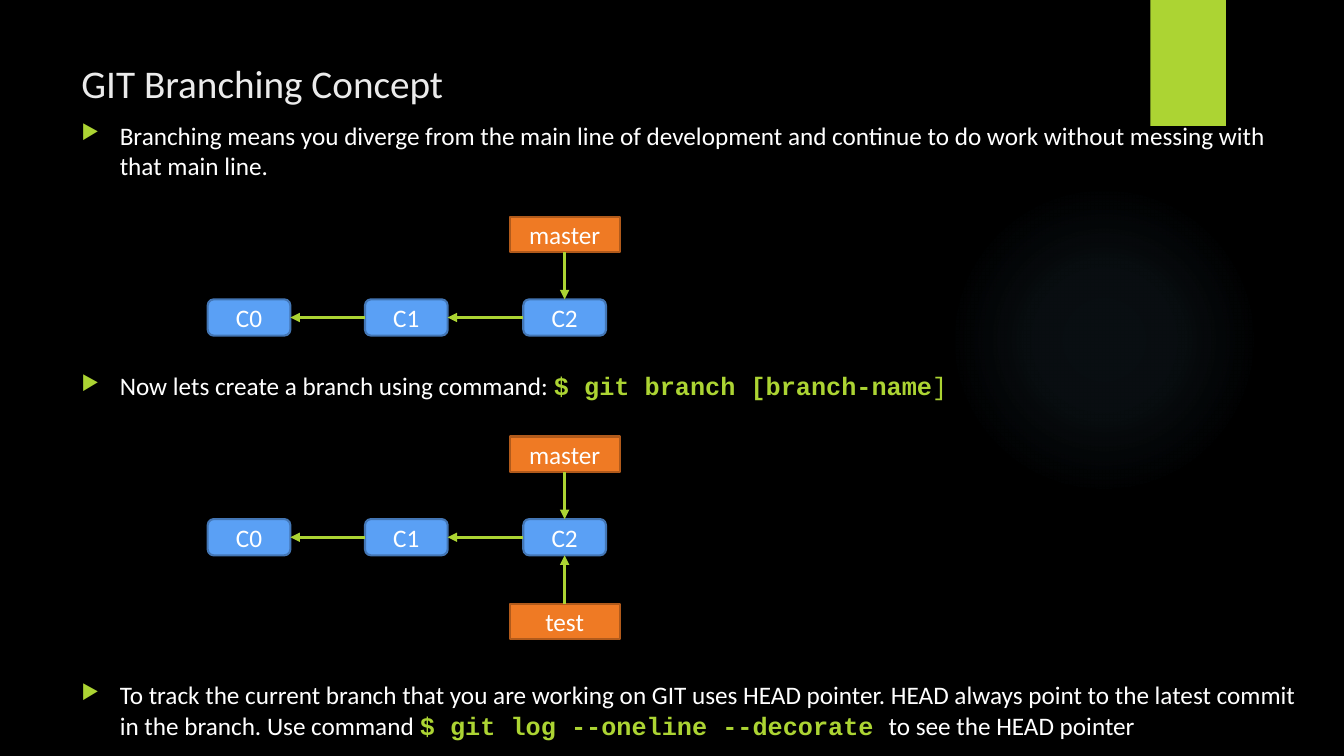
import lxml.etree
import pptx
import pptx.dml.color
import pptx.enum.shapes
import pptx.enum.text
import pptx.oxml
import pptx.oxml.ns
import pptx.util

COLORS = {
    "background": "000000", "accent": "ACD433", "glow": "7AC4F0",
    "title": "EBEBEB", "text": "FFFFFF",
    "commit": "5AA0F5", "commit_line": "4376B5",
    "branch": "EF7A24", "branch_line": "B15A1B",
}
TITLE = "GIT Branching Concept"
BULLETS = [
    (0, [("Branching means you diverge from the main line of development and continue "
          "to do work without messing with that main line.", "plain")]),
    (136, [("Now lets create a branch using command: ", "plain"),
           ("$ git branch [branch-name", "command"), ("]", "bracket")]),
    (199, [("To track the current branch that you are working on GIT uses HEAD pointer. "
            "HEAD always point to the latest commit in the branch. Use command ", "plain"),
           ("$ git log --oneline --decorate ", "command"),
           ("to see the HEAD pointer", "plain")]),
]
STYLES = {
    "plain": ("Calibri", "text", False),
    "command": ("Courier New", "accent", True),
    "bracket": ("Courier New", "accent", False),
}
COMMITS = [("C0", 2.06), ("C1", 3.62), ("C2", 5.19)]
COMMIT_SIZE = (0.82, 0.36)
BRANCH_SIZE = (1.09, 0.35)
MASTER_RISE, TEST_DROP = 0.82, 0.84
DIAGRAMS = [(2.97, False), (5.15, True)]
GLOW_STOPS = [(0, 7), (36, 6), (69, 0)]

Inches = pptx.util.Inches
SHAPES = pptx.enum.shapes.MSO_SHAPE
MIDDLE = pptx.enum.text.MSO_ANCHOR.MIDDLE
TOP, LEFT, BOTTOM, RIGHT = range(4)


def rgb(name):
    return pptx.dml.color.RGBColor.from_string(COLORS[name])


def add_xml(parent, xml):
    namespace = pptx.oxml.ns.nsdecls("a")
    head, mark, rest = xml.partition(">")
    if head.endswith("/"):
        head, mark = head[:-1], "/>"
    parent.append(pptx.oxml.parse_xml(f"{head} {namespace}{mark}{rest}"))


def format_span(span, size, color, font="Calibri", bold=False):
    span.font.name = font
    span.font.size = pptx.util.Pt(size)
    span.font.bold = bold
    span.font.color.rgb = rgb(color)


def add_box(page, kind, left, top, width, height, fill, line=None, text=None):
    box = page.shapes.add_shape(kind, Inches(left), Inches(top), Inches(width), Inches(height))
    box.shadow.inherit = False
    box.fill.solid()
    box.fill.fore_color.rgb = rgb(fill)
    if line:
        box.line.color.rgb = rgb(line)
        box.line.width = pptx.util.Pt(1.5)
    else:
        box.line.fill.background()
    if text:
        frame = box.text_frame
        frame.text = text
        frame.vertical_anchor = MIDDLE
        frame.paragraphs[0].alignment = pptx.enum.text.PP_ALIGN.CENTER
        format_span(frame.paragraphs[0].runs[0], 18, "text")
    return box


def add_arrow(page, start, start_side, end, end_side):
    arrow = page.shapes.add_connector(pptx.enum.shapes.MSO_CONNECTOR.STRAIGHT, 0, 0, 0, 0)
    arrow.begin_connect(start, start_side)
    arrow.end_connect(end, end_side)
    arrow.line.color.rgb = rgb("accent")
    arrow.line.width = pptx.util.Pt(2.25)
    add_xml(arrow.line._get_or_add_ln(), '<a:tailEnd type="triangle"/>')
    add_xml(arrow._element.spPr, "<a:effectLst/>")


def add_text_frame(page, left, top, width, height):
    box = page.shapes.add_textbox(Inches(left), Inches(top), Inches(width), Inches(height))
    box.text_frame.word_wrap = True
    return box.text_frame


def add_glow(page):
    glow = add_box(page, SHAPES.OVAL, 9.41, 1.83, 3.08, 3.08, "glow")
    stops = "".join(
        f'<a:gs pos="{position * 1000}"><a:srgbClr val="{COLORS["glow"]}">'
        f'<a:alpha val="{alpha * 1000}"/></a:srgbClr></a:gs>'
        for position, alpha in GLOW_STOPS)
    properties = glow._element.spPr
    solid = properties.find(pptx.oxml.ns.qn("a:solidFill"))
    add_xml(properties, f'<a:gradFill><a:gsLst>{stops}</a:gsLst><a:path path="circle">'
            '<a:fillToRect l="50000" t="50000" r="50000" b="50000"/></a:path></a:gradFill>')
    properties.replace(solid, properties[-1])


def add_bullets(page):
    frame = add_text_frame(page, 0.71, 1.14, 12.38, 6.28)
    for index, (space, pieces) in enumerate(BULLETS):
        para = frame.add_paragraph() if index else frame.paragraphs[0]
        para.space_before = pptx.util.Pt(space)
        properties = para._p.get_or_add_pPr()
        properties.set("marL", str(Inches(0.38)))
        properties.set("indent", str(-Inches(0.38)))
        add_xml(properties, f'<a:buClr><a:srgbClr val="{COLORS["accent"]}"/></a:buClr>')
        add_xml(properties, '<a:buSzPct val="80000"/>')
        add_xml(properties, '<a:buChar char="▶"/>')
        for text, style in pieces:
            span = para.add_run()
            span.text = text
            font, color, bold = STYLES[style]
            format_span(span, 18, color, font, bold)


def add_branch(page, name, center, top):
    return add_box(page, SHAPES.RECTANGLE, center - BRANCH_SIZE[0] / 2, top, *BRANCH_SIZE,
                   "branch", "branch_line", name)


def add_diagram(page, top, has_test):
    commits = [add_box(page, SHAPES.ROUNDED_RECTANGLE, left, top, *COMMIT_SIZE,
                       "commit", "commit_line", name) for name, left in COMMITS]
    for parent, child in zip(commits, commits[1:]):
        add_arrow(page, child, LEFT, parent, RIGHT)
    center = COMMITS[-1][1] + COMMIT_SIZE[0] / 2
    master = add_branch(page, "master", center, top - MASTER_RISE)
    add_arrow(page, master, BOTTOM, commits[-1], TOP)
    if has_test:
        test = add_branch(page, "test", center, top + TEST_DROP)
        add_arrow(page, test, TOP, commits[-1], BOTTOM)


def main():
    deck = pptx.Presentation()
    deck.slide_width, deck.slide_height = Inches(13.33), Inches(7.5)
    page = deck.slides.add_slide(deck.slide_layouts[6])
    page.background.fill.solid()
    page.background.fill.fore_color.rgb = rgb("background")
    add_glow(page)
    add_box(page, SHAPES.RECTANGLE, 11.41, 0, 0.75, 1.25, "accent")
    title = add_text_frame(page, 0.71, 0.5, 10.29, 0.65)
    title.text = TITLE
    title.vertical_anchor = MIDDLE
    format_span(title.paragraphs[0].runs[0], 28, "title")
    add_bullets(page)
    for top, has_test in DIAGRAMS:
        add_diagram(page, top, has_test)
    deck.save("out.pptx")


if __name__ == "__main__":
    main()
